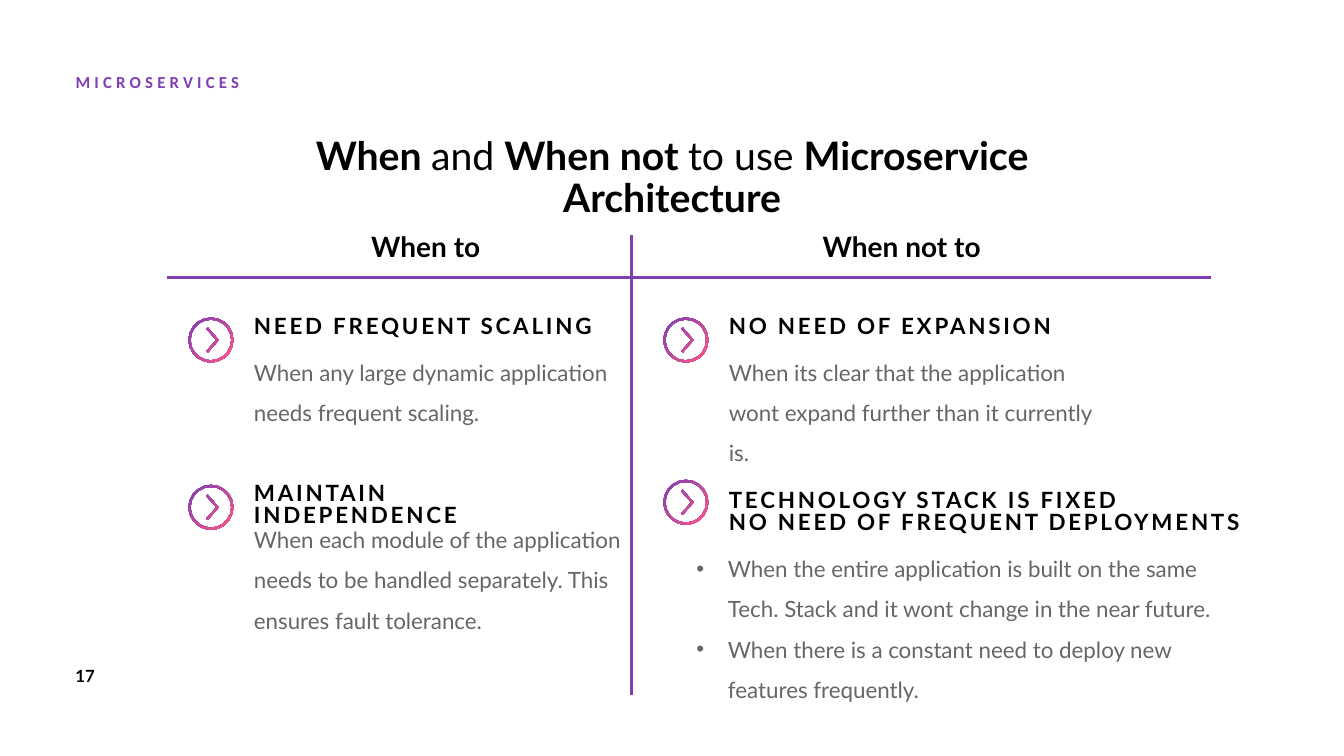
from math import cos, pi, sin

from lxml.etree import SubElement
from pptx import Presentation
from pptx.dml.color import RGBColor
from pptx.enum.shapes import MSO_CONNECTOR
from pptx.enum.text import MSO_ANCHOR, MSO_AUTO_SIZE, PP_ALIGN
from pptx.oxml.ns import qn
from pptx.util import Pt


def paint(color_format, value):
    color_format.rgb = RGBColor.from_string(value)


def write(frame, text, size=16, color="000000", bold=False, font="Lato",
          spacing=1.0, tracking=0, align=PP_ALIGN.LEFT, bullet=None):
    """Write one paragraph per line of text; asterisks toggle bold."""
    lines = text.split("\n")
    spacings = spacing if isinstance(spacing, tuple) else (spacing,) * len(lines)
    for index, (line, line_spacing) in enumerate(zip(lines, spacings)):
        para = frame.add_paragraph() if index else frame.paragraphs[0]
        if bullet:
            properties = para._p.get_or_add_pPr()
            properties.set("marL", str(Pt(22.5)))
            properties.set("indent", str(-Pt(22.5)))
            SubElement(properties, qn("a:buFont")).set("typeface", "Arial")
            SubElement(properties, qn("a:buChar")).set("char", bullet)
        para.alignment = align
        para.line_spacing = line_spacing
        for position, piece in enumerate(line.split("*")):
            if not piece:
                continue
            span = para.add_run()
            span.text = piece
            span.font.name = font
            span.font.size = Pt(size)
            span.font.bold = bold != (position % 2 == 1)
            paint(span.font.color, color)
            if tracking:
                span._r.get_or_add_rPr().set("spc", str(tracking * 100))


class Board:
    purple = "7F3EB2"
    pink = "FF5988"
    gray = "666666"

    def __init__(self, page):
        self.page = page

    def title(self, text, left, top, width, height, **style):
        box = self.page.shapes.title
        box.left, box.top, box.width, box.height = map(Pt, (left, top, width, height))
        frame = box.text_frame
        frame.auto_size = MSO_AUTO_SIZE.NONE
        frame.vertical_anchor = MSO_ANCHOR.TOP
        write(frame, text, **style)

    def text(self, text, left, top, width, height,
             insets=(7.2, 3.6, 7.2, 3.6), wrap=True, grow=True, **style):
        box = self.page.shapes.add_textbox(*map(Pt, (left, top, width, height)))
        frame = box.text_frame
        frame.word_wrap = wrap
        frame.auto_size = MSO_AUTO_SIZE.SHAPE_TO_FIT_TEXT if grow else MSO_AUTO_SIZE.NONE
        (frame.margin_left, frame.margin_top,
         frame.margin_right, frame.margin_bottom) = map(Pt, insets)
        write(frame, text, **style)

    def heading(self, text, left, top, width=245, height=16, spacing=0.8):
        self.text(text, left, top, width, height, insets=(0, 0, 0, 0),
                  bold=True, tracking=2, spacing=spacing)

    def body(self, text, left, top, width, height, bullet=None):
        self.text(text, left, top, width, height, insets=(0, 0, 7.2, 0),
                  color=self.gray, spacing=1.5, bullet=bullet)

    def icon(self, left, top, radius=16.1, rim=1.6, steps=20):
        def ring(size, turn):
            angles = [turn * 2 * pi * step / steps for step in range(steps)]
            return [(size * cos(angle), size * sin(angle)) for angle in angles]

        chevron = [(-2.2, -9), (5.6, 0), (-2.2, 9), (-3.4, 8), (3.8, 0), (-3.4, -8)]
        builder = None
        for contour in (ring(radius, 1), ring(radius - rim, -1), chevron):
            points = [(Pt(left + radius + x), Pt(top + radius + y)) for x, y in contour]
            if builder is None:
                builder = self.page.shapes.build_freeform(*points[0], scale=1.0)
            else:
                builder.move_to(*points[0])
            builder.add_line_segments(points[1:], close=True)
        shape = builder.convert_to_shape()
        shape.shadow.inherit = False
        shape.line.fill.background()
        shape.fill.gradient()
        shape.fill.gradient_angle = 315
        for stop, value in zip(shape.fill.gradient_stops, (self.purple, self.pink)):
            paint(stop.color, value)

    def line(self, *ends):
        rule = self.page.shapes.add_connector(MSO_CONNECTOR.STRAIGHT, *map(Pt, ends))
        rule.line.width = Pt(2)
        paint(rule.line.color, self.purple)
        SubElement(rule._element.spPr, qn("a:effectLst"))


def main():
    deck = Presentation()
    deck.slide_width, deck.slide_height = Pt(960), Pt(540)
    board = Board(deck.slides.add_slide(deck.slide_layouts[5]))

    board.text("17", 46.8, 472, 28.8, 21.6, wrap=False, size=12, bold=True)
    board.text("MICROSERVICES", 54, 47.5, 126.7, 21.6, insets=(0, 3.6, 0, 3.6),
               wrap=False, size=12, font="Calibri", color=board.purple,
               bold=True, tracking=3)
    board.title("*When *and *When not *to use *Microservice Architecture*",
                141, 94, 678.2, 38.9, size=28, spacing=0.9, align=PP_ALIGN.CENTER)

    left_icon, right_icon = 134.6, 473.8
    first_row, second_row = 226.8, 346.3
    text_offset, body_offset = 46.8, 20
    reasons = [
        (left_icon, first_row, 269.3, 54.7, "NEED FREQUENT SCALING",
         "When any large dynamic application needs frequent scaling."),
        (left_icon, second_row, 269.3, 87.1, "MAINTAIN INDEPENDENCE",
         "When each module of the application needs to be handled separately. "
         "This ensures fault tolerance."),
        (right_icon, first_row, 283.7, 58.3, "NO NEED OF EXPANSION",
         "When its clear that the application wont expand further than it "
         "currently is."),
    ]
    for left, top, width, height, heading, body in reasons:
        board.heading(heading, left + text_offset, top)
        board.body(body, left + text_offset, top + body_offset, width, height)
        board.icon(left, top)

    board.heading("TECHNOLOGY STACK IS FIXED\nNO NEED OF FREQUENT DEPLOYMENTS",
                  right_icon + text_offset, 337.7, 372.2, 44.6, spacing=(1.5, 0.8))
    board.body("When the entire application is built on the same Tech. Stack and it "
               "wont change in the near future.\n"
               "When there is a constant need to deploy new features frequently.",
               497.5, 387, 384.5, 116.6, bullet="•")
    board.icon(right_icon, 342.7)

    for label, left in (("When to", 235.7), ("When not to", 575.6)):
        board.text(label, left, 162.9, 136.8, 38.9, grow=False, size=20,
                   bold=True, spacing=0.9, align=PP_ALIGN.CENTER)
    board.line(451, 168.2, 451, 496.5)
    board.line(864.7, 198, 119.5, 198)

    deck.save("out.pptx")


if __name__ == "__main__":
    main()
